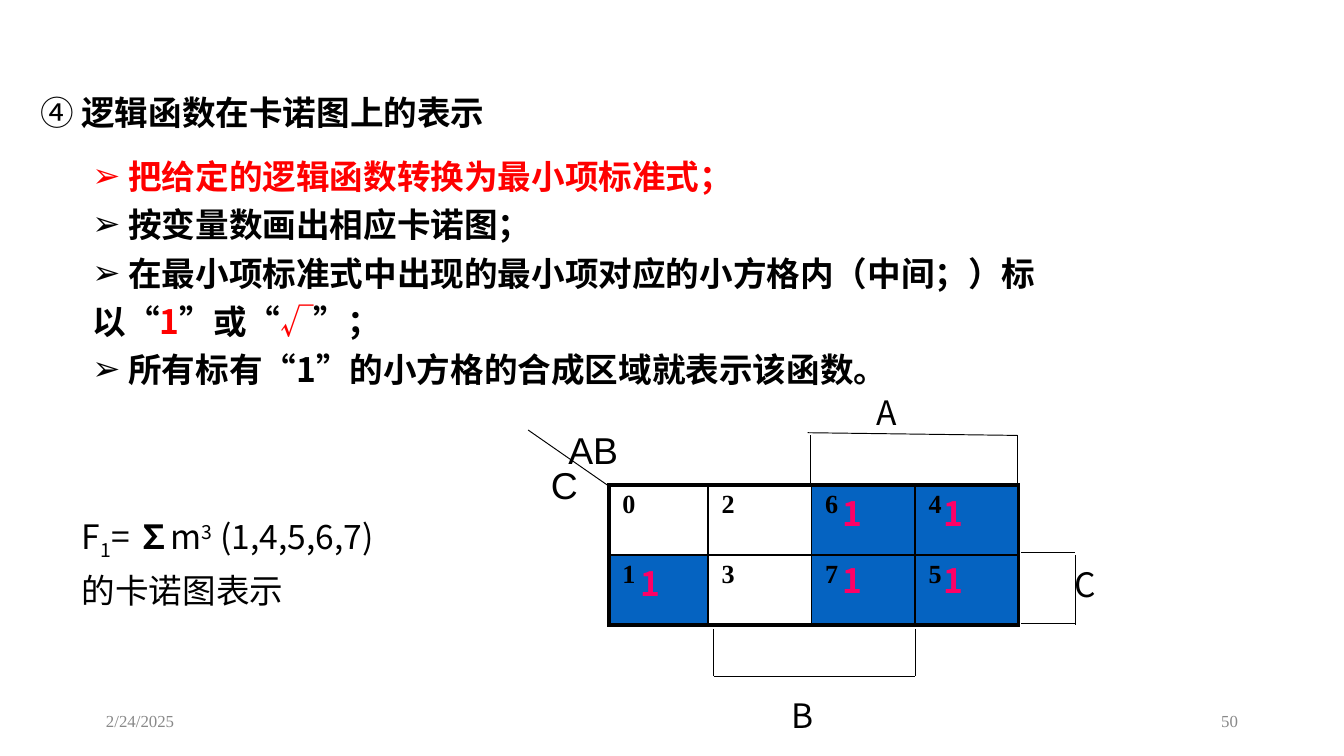
import dataclasses
import itertools
import typing

import lxml.etree
import pptx
import pptx.dml.color
import pptx.enum.shapes
import pptx.enum.text
import pptx.oxml.ns
import pptx.util

Inches = pptx.util.Inches
qn = pptx.oxml.ns.qn
ALIGN = pptx.enum.text.PP_ALIGN
ANCHOR = pptx.enum.text.MSO_ANCHOR

COLORS = {"ink": "000000", "red": "FF0000", "pink": "FF0066", "blue": "0563C1",
          "white": "FFFFFF", "grey": "898989"}
SC, JP, ARIAL, TIMES = "Noto Sans CJK SC", "Noto Sans CJK JP", "Arial", "Times New Roman"


@dataclasses.dataclass(frozen=True)
class Span:
    text: str
    font: str = SC
    size: float = 18
    color: str = "ink"
    bold: bool = False
    baseline: int = 0


@dataclasses.dataclass(frozen=True)
class Label:
    left: float
    top: float
    width: float
    height: float
    paragraphs: typing.Sequence[typing.Sequence[Span]]
    spacing: float = 1.0
    anchor: typing.Any = ANCHOR.TOP
    align: typing.Any = ALIGN.LEFT
    bullet: str = ""


@dataclasses.dataclass(frozen=True)
class Line:
    x1: float
    y1: float
    x2: float
    y2: float


def format_run(run: typing.Any, span: Span) -> None:
    font = run.font
    font.name, font.size, font.bold = span.font, pptx.util.Pt(span.size), span.bold
    font.color.rgb = pptx.dml.color.RGBColor.from_string(COLORS[span.color])
    properties = run._r.get_or_add_rPr()
    east_asian = SC if span.font == ARIAL else span.font
    lxml.etree.SubElement(properties, qn("a:ea"), typeface=east_asian)
    if span.baseline:
        properties.set("baseline", str(span.baseline * 1000))


def draw_label(page: typing.Any, label: Label) -> None:
    box = page.shapes.add_textbox(Inches(label.left), Inches(label.top),
                                  Inches(label.width), Inches(label.height))
    frame = box.text_frame
    frame.word_wrap = True
    frame.vertical_anchor = label.anchor
    frame.text = "\n".join("" for _ in label.paragraphs)
    for para, spans in zip(frame.paragraphs, label.paragraphs):
        para.alignment = label.align
        para.line_spacing = label.spacing
        if label.bullet:
            properties = para._p.get_or_add_pPr()
            properties.set("marL", "0")
            properties.set("indent", "0")
            lxml.etree.SubElement(properties, qn("a:buFont"), typeface=ARIAL)
            lxml.etree.SubElement(properties, qn("a:buChar"), char=label.bullet)
        for span in spans:
            if span.text == "\n":
                para.add_line_break()
                continue
            run = para.add_run()
            run.text = span.text
            format_run(run, span)


def draw_line(page: typing.Any, line: Line) -> None:
    connector = page.shapes.add_connector(
        pptx.enum.shapes.MSO_CONNECTOR.STRAIGHT,
        Inches(line.x1), Inches(line.y1), Inches(line.x2), Inches(line.y2))
    connector.line.width = pptx.util.Pt(0.5)
    connector.line.color.rgb = pptx.dml.color.RGBColor.from_string(COLORS["ink"])
    lxml.etree.SubElement(connector._element.spPr, qn("a:effectLst"))


def set_border(cell: typing.Any, side: str, width: float) -> None:
    border = lxml.etree.SubElement(cell._tc.get_or_add_tcPr(), qn(f"a:ln{side}"),
                                   w=str(pptx.util.Pt(width)))
    fill = lxml.etree.SubElement(border, qn("a:solidFill"))
    lxml.etree.SubElement(fill, qn("a:srgbClr"), val=COLORS["ink"])


def draw_karnaugh_map(page: typing.Any, minterms: typing.Sequence[str],
                      covered: str) -> None:
    rows, columns = len(minterms), len(minterms[0])
    table = page.shapes.add_table(rows, columns, Inches(4.53), Inches(3.61),
                                  Inches(3.05), Inches(1.04)).table
    table.first_row = table.horz_banding = False
    for index, column in enumerate(table.columns):
        column.width = Inches(0.77 if index else 0.74)
    for row in table.rows:
        row.height = Inches(0.52)
    for r, c in itertools.product(range(rows), range(columns)):
        cell, digit = table.cell(r, c), minterms[r][c]
        edges = {"L": c == 0, "R": c == columns - 1, "T": r == 0, "B": r == rows - 1}
        for side, outer in edges.items():
            set_border(cell, side, 2.25 if outer else 1)
        cell.fill.solid()
        color = COLORS["blue" if digit in covered else "white"]
        cell.fill.fore_color.rgb = pptx.dml.color.RGBColor.from_string(color)
        cell.margin_top = cell.margin_bottom = Inches(0.04)
        cell.text_frame.text = digit
        format_run(cell.text_frame.paragraphs[0].runs[0], Span(digit, TIMES, 14, bold=True))


def strong(text: str, font: str = JP, color: str = "ink") -> Span:
    return Span(text, font, color=color, bold=True)


STEPS = [
    [strong(" 把给定的逻辑函数转换为最小项标准式；", color="red")],
    [strong(" 按变量数画出相应卡诺图；")],
    [strong(" 在最小项标准式中出现的最小项对应的小方格内（中间；）标以"), strong("“", SC),
     strong("1", color="red"), strong("”或“", SC), Span("√", ARIAL, color="red"),
     strong("”；", SC)],
    [strong(" 所有标有"), strong("“", SC), strong("1"), strong("”", SC),
     strong("的小方格的合成区域就表示该函数。")],
]
FORMULA = [
    [Span("F"), Span("1", baseline=-25), Span("= "), strong("∑", SC), Span("m"),
     Span("3", baseline=30), Span(" (1,4,5,6,7)"), Span("\n"), Span("的卡诺图表示")],
]
LABELS = [
    Label(0.69, 5.21, 2.25, 0.3, [[Span("2/24/2025", TIMES, 9, "grey")]], anchor=ANCHOR.MIDDLE),
    Label(7.06, 5.21, 2.25, 0.3, [[Span("50", TIMES, 9, "grey")]], anchor=ANCHOR.MIDDLE,
          align=ALIGN.RIGHT),
    Label(0.2, 0.67, 8.5, 0.49, [[Span("④"), strong(" 逻辑函数在卡诺图上的表示", SC)]],
          spacing=0.9),
    Label(0.59, 1.05, 9.03, 1.64, STEPS, spacing=1.2, bullet="➢"),
    Label(0.51, 3.66, 3.17, 0.99, FORMULA, spacing=1.2, anchor=ANCHOR.MIDDLE),
    Label(6.42, 2.87, 0.89, 0.4, [[Span("A")]]),
    Label(7.9, 4.15, 0.78, 0.4, [[Span("C")]]),
    Label(5.79, 5.12, 0.55, 0.4, [[Span("B")]]),
    Label(4.13, 3.13, 0.59, 0.43, [[Span("AB", ARIAL, 20)]]),
    Label(4, 3.39, 0.41, 0.43, [[Span("C", ARIAL, 20)]]),
]
MARKS = [(4.67, 4.14), *itertools.product((6.17, 6.92), (3.62, 4.12))]
LINES = [
    Line(6.03, 3.24, 6.03, 3.62), Line(6.01, 3.22, 7.57, 3.24), Line(7.57, 3.24, 7.57, 3.62),
    Line(5.31, 4.68, 5.31, 5.03), Line(5.31, 5.03, 6.81, 5.03), Line(6.81, 4.68, 6.81, 5.03),
    Line(7.6, 4.11, 8, 4.11), Line(8, 4.13, 8, 4.65), Line(7.6, 4.64, 8, 4.64),
    Line(4.52, 3.61, 3.93, 3.2),
]


def main() -> None:
    """Build the slide on showing a logic function in a Karnaugh map."""
    deck = pptx.Presentation()
    deck.slide_width, deck.slide_height = Inches(10), Inches(10 * 9 / 16)
    page = deck.slides.add_slide(deck.slide_layouts[6])
    draw_karnaugh_map(page, ("0264", "1375"), covered="14567")
    for line in LINES:
        draw_line(page, line)
    for label in LABELS:
        draw_label(page, label)
    for left, top in MARKS:
        draw_label(page, Label(left, top, 0.58, 0.4, [[strong("1", SC, "pink")]]))
    deck.save("out.pptx")


if __name__ == "__main__":
    main()
